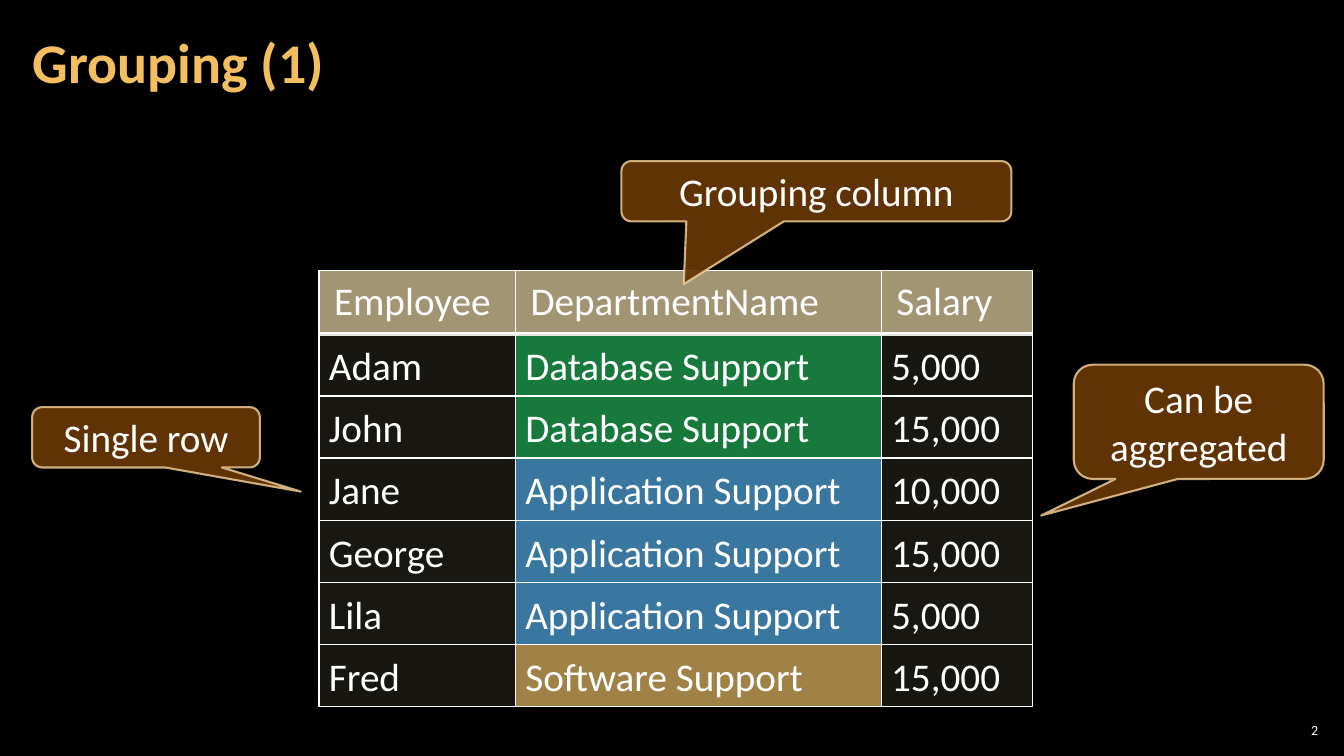
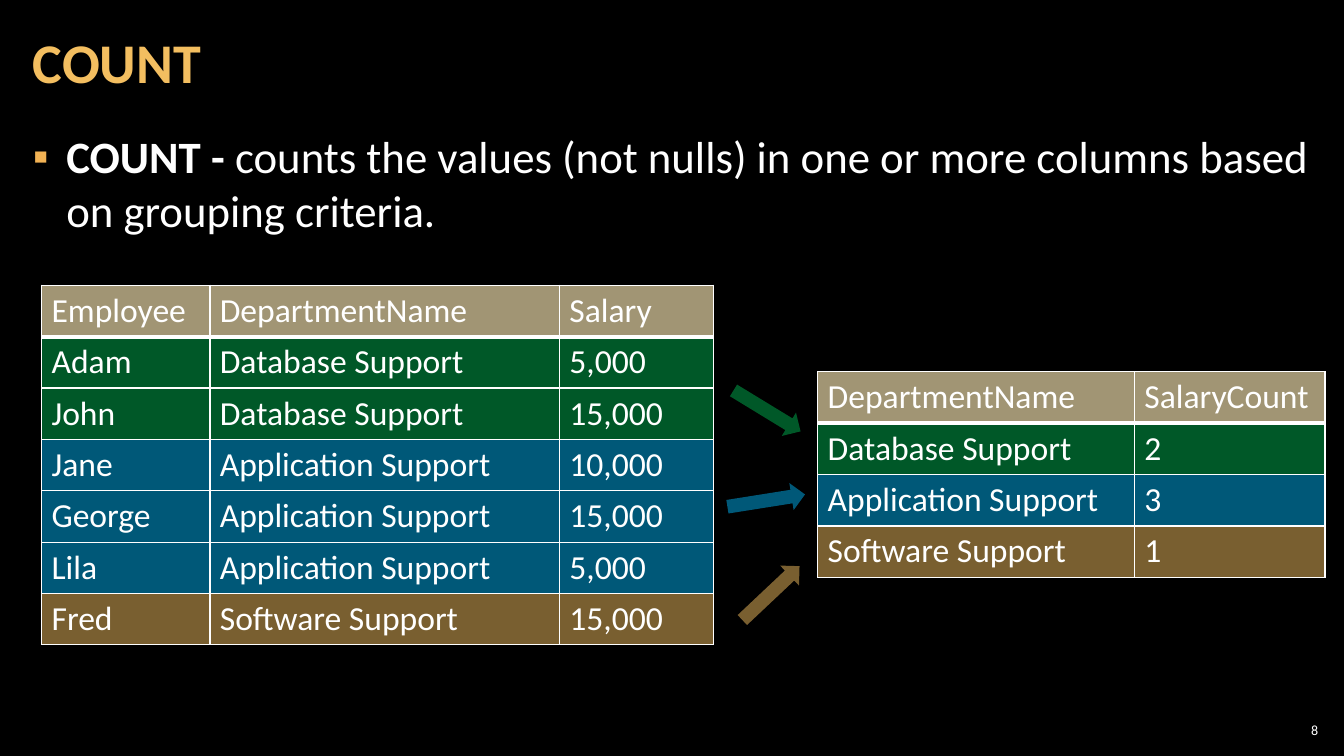
from collections import Counter
from lxml.etree import SubElement
from pptx import Presentation
from pptx.dml.color import RGBColor
from pptx.enum.shapes import MSO_SHAPE
from pptx.enum.text import MSO_ANCHOR, MSO_AUTO_SIZE, PP_ALIGN
from pptx.oxml.ns import qn
from pptx.util import Cm, Pt

# Shared look
FONT = "Calibri"
COLORS = {
    "background": "000000", "text": "FFFFFF", "title": "F3BE60", "bullet": "F2B254",
    "header": "A19574", "veil": "7C7154", "dark": "191711",
    "callout": "663606", "callout line": "F8D49E",
}
TITLE_ONLY, TITLE_AND_BODY = 5, 1
TITLE_BOX = (0.53, 0.1, 26.59, 3.07)
BODY_BOX = (0.53, 3.15, 32.79, 15.47)
NUMBER_BOX = (32.13, 18.14, 1.19, 0.53)
INSETS = (0.25, 0.13)

# Content: lengths in centimetres
BAND_TINTS = {"Database Support": "00B050", "Application Support": "3BABFF",
              "Software Support": "F3BE60"}
ROW_TINTS = {"Database Support": "00B050", "Application Support": "00B0F0",
             "Software Support": "F3BE60"}
HEADER = ("Employee", "DepartmentName", "Salary")
EMPLOYEES = [
    ("Adam", "Database Support", "5,000"),
    ("John", "Database Support", "15,000"),
    ("Jane", "Application Support", "10,000"),
    ("George", "Application Support", "15,000"),
    ("Lila", "Application Support", "5,000"),
    ("Fred", "Software Support", "15,000"),
]
DARK_ROWS = ("John", "George", "Lila")
COUNTS = [
    ("DepartmentName", "SalaryCount"),
    ("Database Support", "2"),
    ("Application Support", "3"),
    ("Software Support", "1"),
]
# Grid of employees on the grouping slide
GRID_LEFT, GRID_TOP, CELLS_TOP, CELLS_BOTTOM = 8.04, 6.81, 8.41, 17.81
GRID_WIDTHS = (4.95, 9.22, 3.81)
# Text, box, pointer offset as a share of the box
CALLOUTS = [
    ("Grouping column", (15.66, 4.06, 9.83, 1.52), (-0.34, 1.54)),
    ("Single row", (0.81, 10.26, 5.74, 1.52), (0.68, 0.9)),
    ("Can be aggregated", (27.06, 9.19, 6.3, 2.88), (-0.63, 0.82)),
]
# Department, left, top, rotation
ARROWS = [
    ("Database Support", 18.34, 10.01, 31.4),
    ("Application Support", 18.32, 12.27, 351),
    ("Software Support", 18.44, 14.6, 316.7),
]
ARROW_SIZE = (1.98, 0.69)
COUNT_TERM = "COUNT -"
COUNT_MEANING = (" counts the values (not nulls) in one or more columns "
                 "based on grouping criteria.")


def rgb(hex_color):
    return RGBColor.from_string(hex_color)


def cm(*lengths):
    return [Cm(length) for length in lengths]


def paint(fill, hex_color):
    fill.solid()
    fill.fore_color.rgb = rgb(hex_color)


def set_opacity(element, percent):
    """Apply opacity to the first colour inside the element."""
    color = next(element.iter(qn("a:srgbClr")))
    SubElement(color, qn("a:alpha"), val=str(percent * 1000))


def style(paragraph, size, color="text", bold=None, align=None):
    font = paragraph.font
    font.name, font.size, font.bold = FONT, Pt(size), bold
    font.color.rgb = rgb(COLORS[color])
    paragraph.alignment = align


def set_insets(holder, side, edge):
    holder.margin_left = holder.margin_right = Cm(side)
    holder.margin_top = holder.margin_bottom = Cm(edge)


def set_frame(frame, side, edge, anchor):
    frame.word_wrap = True
    frame.auto_size = MSO_AUTO_SIZE.NONE
    frame.vertical_anchor = anchor
    set_insets(frame, side, edge)


def place(shape, box):
    shape.left, shape.top, shape.width, shape.height = cm(*box)


def add_slide(prs, layout, title, number):
    slide = prs.slides.add_slide(prs.slide_layouts[layout])
    heading = slide.shapes.title
    place(heading, TITLE_BOX)
    heading.text_frame.text = title
    set_frame(heading.text_frame, 0.3, 0.1, MSO_ANCHOR.MIDDLE)
    paragraph = heading.text_frame.paragraphs[0]
    style(paragraph, 40, "title", True, PP_ALIGN.LEFT)
    paragraph.line_spacing = 0.9

    page = slide.shapes.add_textbox(*cm(*NUMBER_BOX)).text_frame
    page.text = str(number)
    set_frame(page, 0.1, 0.1, MSO_ANCHOR.MIDDLE)
    style(page.paragraphs[0], 10, align=PP_ALIGN.RIGHT)
    return slide


def add_borders(cell, bottom):
    properties = cell._tc.get_or_add_tcPr()
    for side, width in (("lnL", 1), ("lnR", 1), ("lnT", 1), ("lnB", bottom)):
        line = SubElement(properties, qn(f"a:{side}"), w=str(Pt(width)))
        fill = SubElement(line, qn("a:solidFill"))
        SubElement(fill, qn("a:srgbClr"), val=COLORS["text"])


def add_grid(slide, rows, left, top, widths, row_height, size, insets=INSETS):
    """Draw a table whose rows take the tint of their department."""
    table = slide.shapes.add_table(
        len(rows), len(widths), *cm(left, top, sum(widths), row_height * len(rows))).table
    table.horz_banding = False
    for column, width in zip(table.columns, widths):
        column.width = Cm(width)
    for row_index, row in enumerate(rows):
        table.rows[row_index].height = Cm(row_height)
        tint = next((ROW_TINTS[text] for text in row if text in ROW_TINTS), None)
        for column_index, text in enumerate(row):
            cell = table.cell(row_index, column_index)
            cell.text = text
            set_insets(cell, *insets)
            style(cell.text_frame.paragraphs[0], size, bold=False)
            add_borders(cell, 1 if tint else 3)
            paint(cell.fill, tint or COLORS["header"])
            if tint:
                set_opacity(cell._tc.tcPr.find(qn("a:solidFill")), 50)


def add_block(slide, preset, box, color, opacity=100):
    """Draw a flat shape without outline."""
    block = slide.shapes.add_shape(preset, *cm(*box))
    block.shadow.inherit = False
    paint(block.fill, color)
    if opacity < 100:
        set_opacity(block._element.spPr, opacity)
    block.line.fill.background()
    return block


def outline(block, color, width):
    block.line.width = Pt(width)
    block.line.color.rgb = rgb(COLORS[color])


def write(block, text, align):
    block.text_frame.text = text
    set_frame(block.text_frame, *INSETS, MSO_ANCHOR.MIDDLE)
    style(block.text_frame.paragraphs[0], 28, align=align)


def add_bands(slide, row_height):
    top = CELLS_TOP
    left = GRID_LEFT + GRID_WIDTHS[0]
    for department, rows in Counter(row[1] for row in EMPLOYEES).items():
        height = rows * row_height
        add_block(slide, MSO_SHAPE.RECTANGLE, (left, top, GRID_WIDTHS[1], height),
                  BAND_TINTS[department], 70)
        top += height


def add_cells(slide, row_height):
    for row_index, row in enumerate(EMPLOYEES):
        top = CELLS_TOP + row_index * row_height
        for column_index, text in enumerate(row):
            left = GRID_LEFT + sum(GRID_WIDTHS[:column_index])
            dark = row[0] in DARK_ROWS and column_index != 1
            color, opacity = ("dark", 100) if dark else ("veil", 20)
            cell = add_block(slide, MSO_SHAPE.RECTANGLE,
                             (left, top, GRID_WIDTHS[column_index], row_height),
                             COLORS[color], opacity)
            outline(cell, "text", 1)
            write(cell, text, PP_ALIGN.LEFT)


def add_callout(slide, text, box, pointer):
    callout = add_block(slide, MSO_SHAPE.ROUNDED_RECTANGULAR_CALLOUT, box,
                        COLORS["callout"], 95)
    callout.adjustments[0], callout.adjustments[1] = pointer
    outline(callout, "callout line", 1.5)
    set_opacity(callout._element.spPr.find(qn("a:ln")), 80)
    write(callout, text, PP_ALIGN.CENTER)


def add_definition(slide, term, meaning):
    body = slide.placeholders[1]
    place(body, BODY_BOX)
    set_frame(body.text_frame, 0.3, 0.1, MSO_ANCHOR.TOP)
    paragraph = body.text_frame.paragraphs[0]
    for text, bold in ((term, True), (meaning, False)):
        run = paragraph.add_run()
        run.text = text
        run.font.bold = bold
    style(paragraph, 32, align=PP_ALIGN.LEFT)
    paragraph.space_before = paragraph.space_after = Pt(6)
    # Square bullet with a hanging indent, placed ahead of the default font
    properties = paragraph._p.get_or_add_pPr()
    properties.set("marL", str(Cm(0.84)))
    properties.set("indent", str(-Cm(0.84)))
    bullet_color = SubElement(properties, qn("a:buClr"))
    SubElement(bullet_color, qn("a:srgbClr"), val=COLORS["bullet"])
    SubElement(properties, qn("a:buChar"), char="▪")
    properties.append(properties.find(qn("a:defRPr")))


def main():
    prs = Presentation()
    prs.slide_width, prs.slide_height = cm(33.87, 19.05)
    paint(prs.slide_master.background.fill, COLORS["background"])

    # Grouping: tinted bands show through the cells
    grouping = add_slide(prs, TITLE_ONLY, "Grouping (1)", 2)
    row_height = (CELLS_BOTTOM - CELLS_TOP) / len(EMPLOYEES)
    add_bands(grouping, row_height)
    add_grid(grouping, [HEADER], GRID_LEFT, GRID_TOP, GRID_WIDTHS, 1.57, 28, (0.38, 0.2))
    add_cells(grouping, row_height)
    for callout in CALLOUTS:
        add_callout(grouping, *callout)

    # Count
    count = add_slide(prs, TITLE_AND_BODY, "COUNT", 8)
    add_definition(count, COUNT_TERM, COUNT_MEANING)
    add_grid(count, [HEADER, *EMPLOYEES], 1.05, 7.19, (4.24, 8.81, 3.89), 1.27, 24)
    add_grid(count, COUNTS, 20.61, 9.37, (7.98, 4.8), 1.27, 24)
    for department, left, top, rotation in ARROWS:
        arrow = add_block(count, MSO_SHAPE.RIGHT_ARROW, (left, top, *ARROW_SIZE),
                          ROW_TINTS[department], 50)
        arrow.rotation = rotation

    prs.save("out.pptx")


if __name__ == "__main__":
    main()
